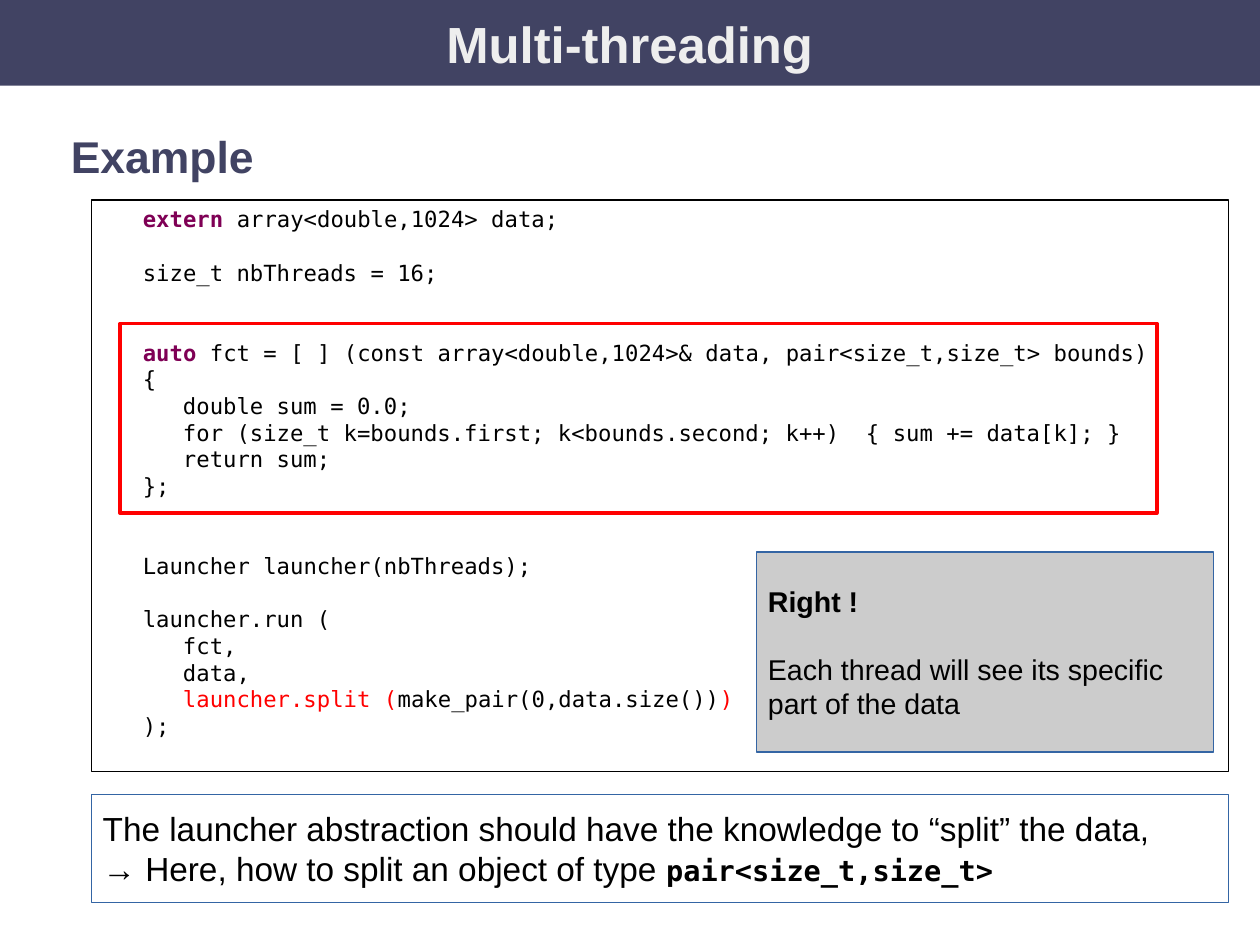
import pptx
import pptx.util
import pptx.dml.color
import pptx.enum.shapes
import pptx.enum.text

Pt = pptx.util.Pt
ANCHOR = pptx.enum.text.MSO_ANCHOR
ALIGN = pptx.enum.text.PP_ALIGN

COLORS = {
    "navy": "414363", "pale": "EEEEEE", "black": "000000", "red": "FF0000",
    "purple": "7F0055", "gray": "CCCCCC", "blue": "3465A4",
}
SANS, MONO = "Arial", "DejaVu Sans Mono"
LEADING = 1.2      # line pitch per point of text size
CODE = 14          # size of the listing
COLUMN = 8.43      # width of one code character

PURPLE = {"color": "purple", "bold": True}
RED = {"color": "red"}

# Each code line: blank lines above, columns of indent, runs
LISTING = [
    (0, 3, [("extern ", PURPLE), "array<double,1024> data;"]),
    (1, 3, ["size_t nbThreads = 16;"]),
    (2, 3, [("auto ", PURPLE), "fct = [ ] (const array<double,1024>& data, "
            "pair<size_t,size_t> bounds)"]),
    (0, 3, ["{"]),
    (0, 6, ["double sum = 0.0;"]),
    (0, 6, ["for (size_t k=bounds.first; k<bounds.second; k++)  "
            "{ sum += data[k]; }"]),
    (0, 6, ["return sum;"]),
    (0, 3, ["};"]),
    (2, 3, ["Launcher launcher(nbThreads);"]),
    (1, 3, ["launcher.run ("]),
    (0, 6, ["fct,"]),
    (0, 6, ["data,"]),
    (0, 6, [("launcher.split (", RED), "make_pair(0,data.size())", (")", RED)]),
    (0, 3, [");"]),
]


def rgb(name):
    return pptx.dml.color.RGBColor.from_string(COLORS[name])


def style(font, size=18, face=SANS, color="black", bold=False):
    font.size, font.name, font.bold = Pt(size), face, bold
    font.color.rgb = rgb(color)


def write(frame, lines, anchor=ANCHOR.MIDDLE, align=ALIGN.LEFT, **base):
    """Write lines of (blank lines above, indent columns, runs)."""
    frame.word_wrap = True
    frame.auto_size = pptx.enum.text.MSO_AUTO_SIZE.NONE
    frame.vertical_anchor = anchor
    frame.margin_left = frame.margin_right = Pt(7.2)
    frame.margin_top = frame.margin_bottom = Pt(3.6)
    pitch = LEADING * base["size"]
    for i, (blank, indent, runs) in enumerate(lines):
        para = frame.add_paragraph() if i else frame.paragraphs[0]
        para.alignment = align
        para.line_spacing = Pt(pitch)
        para.space_before, para.space_after = Pt(blank * pitch), Pt(0)
        if indent:
            para._p.get_or_add_pPr().set("marL", str(Pt(indent * COLUMN)))
        for item in runs:
            text, extra = (item, {}) if isinstance(item, str) else item
            run = para.add_run()
            run.text = text
            style(run.font, **{**base, **extra})


def place(shape, left, top, width, height):
    shape.left, shape.top = Pt(left), Pt(top)
    shape.width, shape.height = Pt(width), Pt(height)


def panel(slide, left, top, width, height, line, weight=0, fill=None):
    shape = slide.shapes.add_shape(
        pptx.enum.shapes.MSO_SHAPE.RECTANGLE,
        Pt(left), Pt(top), Pt(width), Pt(height))
    shape.shadow.inherit = False
    if fill:
        shape.fill.solid()
        shape.fill.fore_color.rgb = rgb(fill)
    else:
        shape.fill.background()
    shape.line.color.rgb = rgb(line)
    shape.line.width = Pt(weight)
    return shape.text_frame


def banner(slide, text, width):
    title = slide.shapes.title
    place(title, 0, 0, width, 54)
    title.fill.solid()
    title.fill.fore_color.rgb = rgb("navy")
    write(title.text_frame, [(0, 0, [text])], align=ALIGN.CENTER,
          size=32, color="pale", bold=True)


def heading(slide, text):
    box = slide.shapes.add_textbox(Pt(37.6), Pt(77.6), Pt(733.7), Pt(48))
    write(box.text_frame, [(0, 0, [text])], anchor=ANCHOR.TOP,
          size=28, color="navy", bold=True)


def main():
    deck = pptx.Presentation()
    deck.slide_width, deck.slide_height = Pt(793.6), Pt(595.4)
    slide = deck.slides.add_slide(deck.slide_layouts[5])

    # Title and heading
    banner(slide, "Multi-threading", 793.6)
    heading(slide, "Example")

    # Listing, with the lambda framed
    code = panel(slide, 57.6, 126, 716.4, 360, "black")
    write(code, LISTING, anchor=ANCHOR.TOP, size=CODE, face=MONO)
    panel(slide, 75.6, 203.8, 653, 119.5, "red", weight=2.3)

    # Verdict
    verdict = panel(slide, 476.6, 347.8, 288, 126, "blue", fill="gray")
    write(verdict, [
        (0, 0, [("Right !", {"bold": True})]),
        (1, 0, ["Each thread will see its specific part of the data"]),
    ], size=18)

    # Conclusion
    note = panel(slide, 57.6, 500.4, 716.4, 68.4, "blue")
    write(note, [
        (0, 0, ["The launcher abstraction should have the knowledge to "
                "“split” the data,"]),
        (0, 0, ["→ Here, how to split an object of type ",
                ("pair<size_t,size_t>",
                 {"size": 18, "face": MONO, "bold": True})]),
    ], size=21)

    deck.save("out.pptx")


if __name__ == "__main__":
    main()
